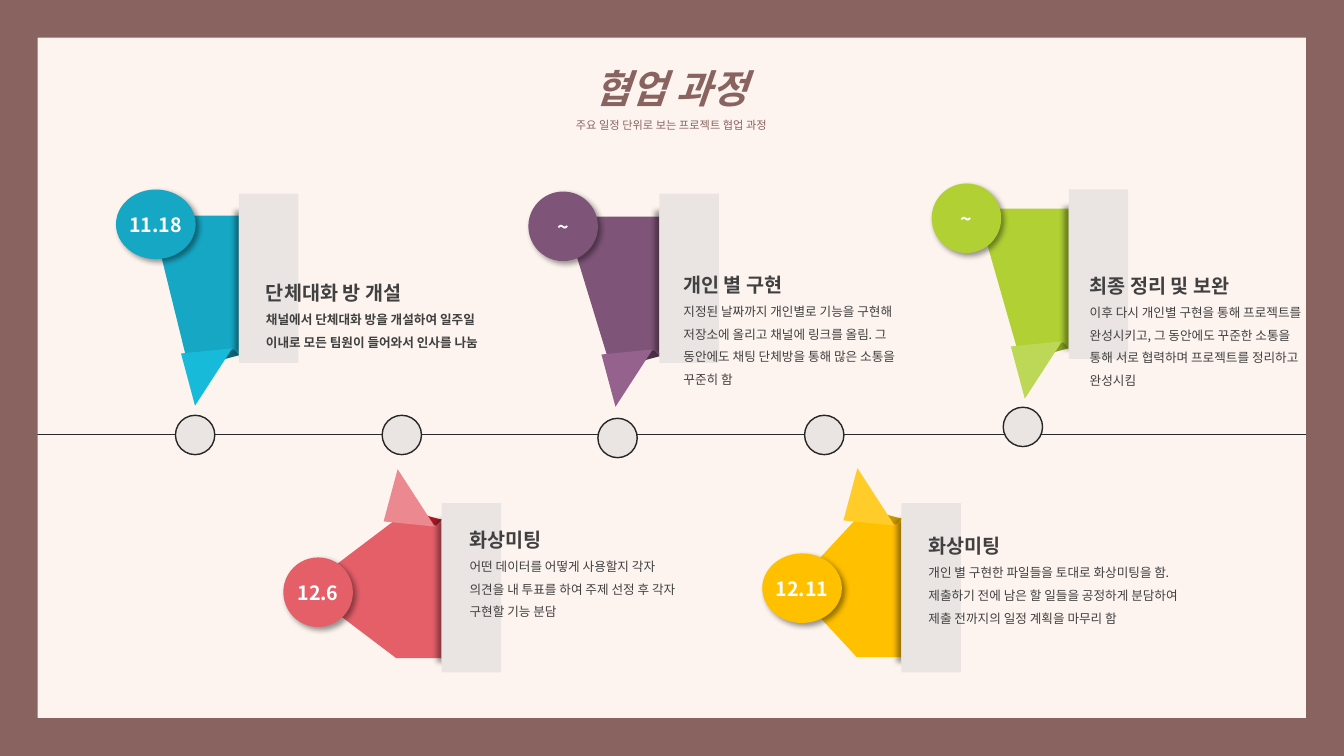
from dataclasses import dataclass
from lxml.etree import SubElement
from pptx import Presentation
from pptx.dml.color import RGBColor
from pptx.enum.shapes import MSO_CONNECTOR, MSO_SHAPE
from pptx.enum.text import MSO_ANCHOR, MSO_AUTO_SIZE, PP_ALIGN
from pptx.oxml.ns import qn
from pptx.util import Inches, Pt


@dataclass(frozen=True)
class Theme:
    font: str = "Noto Sans CJK KR"
    background: str = "FDF4EF"
    accent: str = "896360"
    card: str = "EAE5E2"
    outline: str = "262626"
    timeline: str = "272B2E"
    text: str = "404040"
    white: str = "FFFFFF"
    shadow: str = "000000"
    title_size: int = 28
    heading_size: int = 14
    body_size: int = 9
    subtitle_size: int = 8


theme = Theme()


def add_shape(parent, kind, box, fill, line=None, rotation=0, flip=False, adjust=None, shadow_angle=None):
    shape = parent.add_shape(kind, *map(Inches, box))
    shape.shadow.inherit = False
    shape.fill.solid()
    shape.fill.fore_color.rgb = RGBColor.from_string(fill)
    if line:
        shape.line.color.rgb = RGBColor.from_string(line)
        shape.line.width = Pt(1)
    else:
        shape.line.fill.background()
    shape.rotation = rotation
    if flip:
        shape._element.spPr.find(qn("a:xfrm")).set("flipH", "1")
    if adjust is not None:
        shape.adjustments[0] = adjust
    if shadow_angle is not None:
        effects = shape._element.spPr.find(qn("a:effectLst"))
        shadow = SubElement(effects, qn("a:outerShdw"), blurRad=str(Pt(4)), dist=str(Pt(3)),
                            dir=str(shadow_angle * 60000), algn="ctr", rotWithShape="0")
        color = SubElement(shadow, qn("a:srgbClr"), val=theme.shadow)
        SubElement(color, qn("a:alpha"), val="40000")
    return shape


def write_paragraph(frame, text, size, color, bold=False, italic=False, align=PP_ALIGN.LEFT, spacing=1.5):
    paragraph = frame.paragraphs[0] if not frame.text else frame.add_paragraph()
    paragraph.alignment = align
    paragraph.line_spacing = spacing
    run = paragraph.add_run()
    run.text = text
    run.font.name = theme.font
    run.font.size = Pt(size)
    run.font.bold = bold
    run.font.italic = italic
    run.font.color.rgb = RGBColor.from_string(color)
    SubElement(run._r.get_or_add_rPr(), qn("a:ea"), typeface=theme.font)


presentation = Presentation()
presentation.slide_width = Inches(13.33)
presentation.slide_height = Inches(7.5)
slide = presentation.slides.add_slide(presentation.slide_layouts[6])
slide.background.fill.solid()
slide.background.fill.fore_color.rgb = RGBColor.from_string(theme.background)

title_box = slide.shapes.add_textbox(Inches(3.74), Inches(0.36), Inches(5.84), Inches(0.98))
title_box.text_frame.word_wrap = True
title_box.text_frame.auto_size = MSO_AUTO_SIZE.SHAPE_TO_FIT_TEXT
write_paragraph(title_box.text_frame, "협업 과정", size=theme.title_size, color=theme.accent,
                bold=True, italic=True, align=PP_ALIGN.CENTER)
write_paragraph(title_box.text_frame, "주요 일정 단위로 보는 프로젝트 협업 과정", size=theme.subtitle_size,
                color=theme.accent, align=PP_ALIGN.CENTER)

timeline = slide.shapes.add_connector(MSO_CONNECTOR.STRAIGHT, Inches(0.14), Inches(4.31), Inches(13.23), Inches(4.31))
timeline.line.color.rgb = RGBColor.from_string(theme.timeline)
timeline.line.width = Pt(0.5)
SubElement(timeline._element.spPr, qn("a:effectLst"))

milestones = [
    dict(date="11.18", upper=True, colors=("16A7C4", "0D6779", "18BADA"), card=(2.37, 1.92), tab=(1.5, 2.14),
         taper=0.25, badge=(1.15, 1.88), marker=(1.74, 4.12), text=(2.54, 2.62, 2.34, 1.11), bold=True,
         heading="단체대화 방 개설",
         body=["채널에서 단체대화 방을 개설하여 일주일 이내로 모든 팀원이 들어와서 인사를 나눔"]),
    dict(date="12.6", upper=False, colors=("E55F69", "A51B25", "EC888F"), card=(4.38, 4.99), tab=(3.02, 5.15),
         taper=0.67, badge=(2.81, 5.53), marker=(3.79, 4.12), text=(4.56, 5.07, 2.34, 1.11), bold=False,
         heading="화상미팅",
         body=["어떤 데이터를 어떻게 사용할지 각자 의견을 내 투표를 하여 주제 선정 후 각자 구현할 기능 분담"]),
    dict(date="~", upper=True, colors=("7E5478", "4C3248", "94628D"), card=(6.54, 1.92), tab=(5.6, 2.15),
         taper=0.31, badge=(5.24, 1.9), marker=(5.93, 4.15), text=(6.68, 2.54, 2.34, 1.33), bold=False,
         heading="개인 별 구현",
         body=["지정된 날짜까지 개인별로 기능을 구현해 저장소에 올리고 채널에 링크를 올림. "
               "그 동안에도 채팅 단체방을 통해 많은 소통을 꾸준히 함"]),
    dict(date="12.11", upper=False, colors=("FFC000", "C89800", "FFCC29"), card=(8.94, 4.99), tab=(7.86, 5.14),
         taper=0.47, badge=(7.56, 5.49), marker=(7.98, 4.12), text=(9.11, 5.13, 3.89, 1.11), bold=False,
         heading="화상미팅",
         body=["개인 별 구현한 파일들을 토대로 화상미팅을 함.",
               "제출하기 전에 남은 할 일들을 공정하게 분담하여",
               "제출 전까지의 일정 계획을 마무리 함"]),
    dict(date="~", upper=True, colors=("B0D034", "859F25", "BCD856"), card=(10.6, 1.88), tab=(9.69, 2.07),
         taper=0.29, badge=(9.24, 1.82), marker=(9.95, 4.04), text=(10.71, 2.55, 2.34, 1.33), bold=False,
         heading="최종 정리 및 보완",
         body=["이후 다시 개인별 구현을 통해 프로젝트를 완성시키고, 그 동안에도 꾸준한 소통을 "
               "통해 서로 협력하며 프로젝트를 정리하고 완성시킴"]),
]

for milestone in milestones:
    upper = milestone["upper"]
    main_color, fold_color, tip_color = milestone["colors"]
    card_left, card_top = milestone["card"]
    tab_left, tab_top = milestone["tab"]
    if upper:
        tab_kind, tab_turn, fold_turn, tip_turn = MSO_SHAPE.TRAPEZOID, 180, 345, 174.3
        fold_top, tip_top = tab_top + 1.37, tab_top + 1.34
    else:
        tab_kind, tab_turn, fold_turn, tip_turn = MSO_SHAPE.PENTAGON, 0, 195, 5.7
        fold_top, tip_top = tab_top - 0.05, tab_top - 0.48

    add_shape(slide.shapes, MSO_SHAPE.OVAL, (*milestone["marker"], 0.39, 0.39), theme.card, line=theme.outline)

    pencil = slide.shapes.add_group_shape().shapes
    add_shape(pencil, tab_kind, (tab_left, tab_top, 1.36, 1.38), main_color,
              rotation=tab_turn, flip=not upper, adjust=milestone["taper"])
    badge_width = 0.79 if len(milestone["date"]) > 4 else 0.69
    badge = add_shape(pencil, MSO_SHAPE.OVAL, (*milestone["badge"], badge_width, 0.69), main_color, shadow_angle=45)
    frame = badge.text_frame
    frame.margin_left = frame.margin_right = frame.margin_top = frame.margin_bottom = 0
    frame.vertical_anchor = MSO_ANCHOR.MIDDLE
    write_paragraph(frame, milestone["date"], size=theme.heading_size, color=theme.white,
                    bold=True, align=PP_ALIGN.CENTER, spacing=1.0)
    add_shape(pencil, MSO_SHAPE.TRAPEZOID, (card_left - 0.42, fold_top, 0.42, 0.07), fold_color,
              rotation=fold_turn, adjust=0.54)
    add_shape(pencil, MSO_SHAPE.ISOSCELES_TRIANGLE, (card_left - 0.55, tip_top, 0.51, 0.53), tip_color,
              rotation=tip_turn, flip=upper, adjust=0.17)

    card = slide.shapes.add_group_shape().shapes
    add_shape(card, MSO_SHAPE.RECTANGLE, (card_left, card_top + 0.17, 0.3, 1.41), theme.card, shadow_angle=180)
    add_shape(card, MSO_SHAPE.RECTANGLE, (card_left, card_top, 0.59, 1.68), theme.card)

    description = slide.shapes.add_textbox(*map(Inches, milestone["text"])).text_frame
    description.word_wrap = True
    description.auto_size = MSO_AUTO_SIZE.SHAPE_TO_FIT_TEXT
    write_paragraph(description, milestone["heading"], size=theme.heading_size, color=theme.text, bold=True)
    for line in milestone["body"]:
        write_paragraph(description, line, size=theme.body_size, color=theme.text, bold=milestone["bold"])

add_shape(slide.shapes, MSO_SHAPE.FRAME, (0, 0, 13.33, 7.5), theme.accent, adjust=0.05)

presentation.save("out.pptx")
